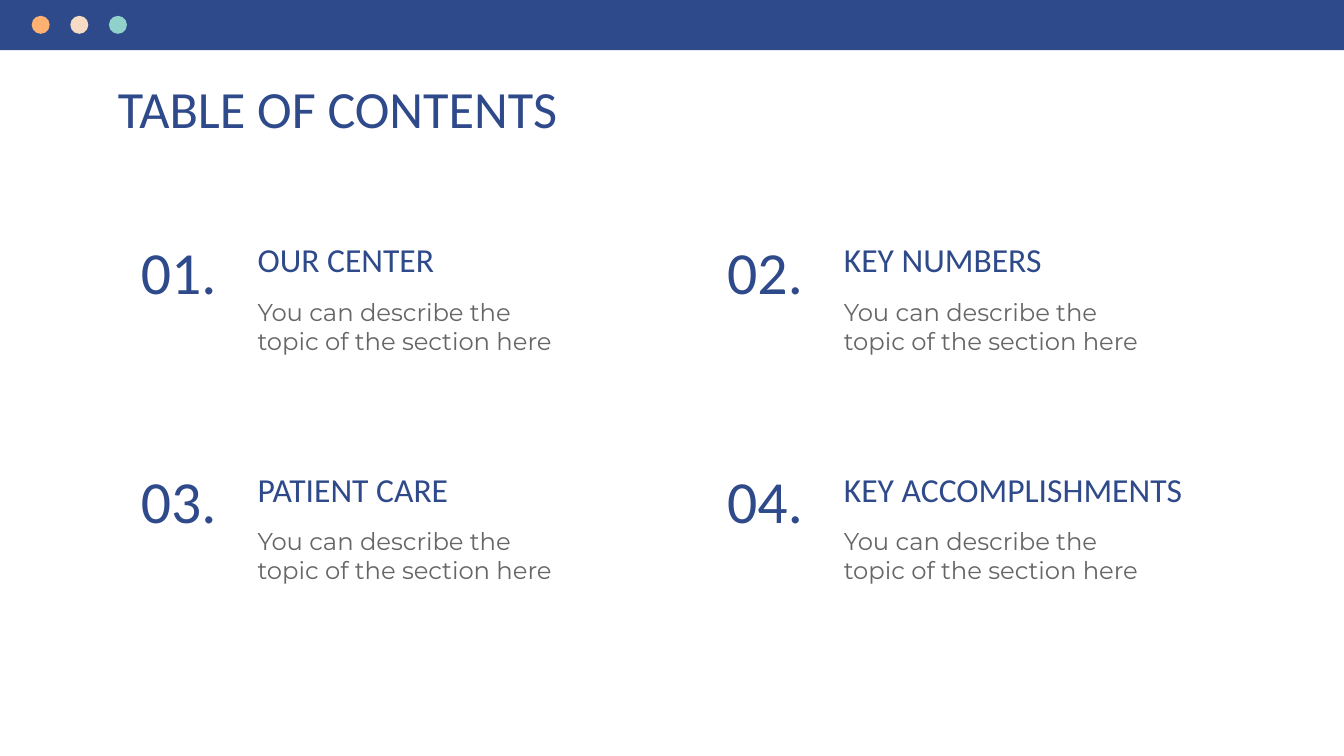
import pptx
import pptx.util
import pptx.dml.color
import pptx.enum.shapes
import pptx.enum.text

Cm = pptx.util.Cm
SHAPE = pptx.enum.shapes.MSO_SHAPE
ALIGN = pptx.enum.text.PP_ALIGN
ANCHOR = pptx.enum.text.MSO_ANCHOR

TITLE = "TABLE OF CONTENTS"
DESCRIPTION = "You can describe the topic of the section here"
SECTIONS = ["OUR CENTER", "KEY NUMBERS", "PATIENT CARE", "KEY ACCOMPLISHMENTS"]

COLORS = {
    "navy": "2F4A8A",
    "gray": "666666",
    "orange": "FFB172",
    "cream": "F8DBC4",
    "teal": "90D1CB",
}
DOTS = ["orange", "cream", "teal"]

SLIDE_W, SLIDE_H = 25.4, 14.29
COLUMNS = 2
COLUMN_STEP, ROW_STEP = 11.08, 4.34
NUMBER_X, TEXT_X = 2.13, 4.62
DOT_X, DOT_Y, DOT_SIZE, DOT_STEP = 0.6, 0.3, 0.34, 0.73


def rgb(name):
    return pptx.dml.color.RGBColor.from_string(COLORS[name])


def place(sp, x, y, w, h):
    sp.left, sp.top, sp.width, sp.height = Cm(x), Cm(y), Cm(w), Cm(h)


def write(sp, text, size, font="Calibri", color="navy", align=ALIGN.LEFT,
          anchor=ANCHOR.TOP, after=0):
    tf = sp.text_frame
    tf.word_wrap = True
    tf.auto_size = pptx.enum.text.MSO_AUTO_SIZE.NONE
    tf.vertical_anchor = anchor
    tf.margin_left = tf.margin_right = Cm(0.25)
    tf.margin_top = tf.margin_bottom = Cm(0.25)
    p = tf.paragraphs[0]
    p.alignment = align
    p.space_after = pptx.util.Pt(after)
    r = p.add_run()
    r.text = text
    r.font.size = pptx.util.Pt(size)
    r.font.name = font
    r.font.color.rgb = rgb(color)


def add_text(slide, text, x, y, w, h, **style):
    sp = slide.shapes.add_textbox(Cm(x), Cm(y), Cm(w), Cm(h))
    write(sp, text, **style)


def add_filled(slide, kind, x, y, w, h, color):
    sp = slide.shapes.add_shape(kind, Cm(x), Cm(y), Cm(w), Cm(h))
    sp.shadow.inherit = False
    sp.fill.solid()
    sp.fill.fore_color.rgb = rgb(color)
    sp.line.fill.background()


def add_section(slide, index, heading):
    row, column = divmod(index, COLUMNS)
    dx, dy = column * COLUMN_STEP, row * ROW_STEP
    add_text(slide, heading, TEXT_X + dx, 4.27 + dy, 7.5, 1.3, size=18)
    add_text(slide, f"{index + 1:02d}.", NUMBER_X + dx, 4.41 + dy, 2.5, 1.63,
             size=32, align=ALIGN.CENTER, anchor=ANCHOR.BOTTOM)
    add_text(slide, DESCRIPTION, TEXT_X + dx, 5.36 + dy, 6.32, 1.63,
             size=13, font="Montserrat", color="gray", after=12)


def main():
    prs = pptx.Presentation()
    prs.slide_width, prs.slide_height = Cm(SLIDE_W), Cm(SLIDE_H)
    slide = prs.slides.add_slide(prs.slide_layouts.get_by_name("Title Only"))

    place(slide.shapes.title, 1.98, 1.19, 21.44, 1.3)
    write(slide.shapes.title, TITLE, size=28)

    for index, heading in enumerate(SECTIONS):
        add_section(slide, index, heading)

    add_filled(slide, SHAPE.RECTANGLE, 0, 0, SLIDE_W, 0.95, "navy")
    for i, color in enumerate(DOTS):
        add_filled(slide, SHAPE.OVAL, DOT_X + i * DOT_STEP, DOT_Y,
                   DOT_SIZE, DOT_SIZE, color)

    prs.save("out.pptx")


if __name__ == "__main__":
    main()
